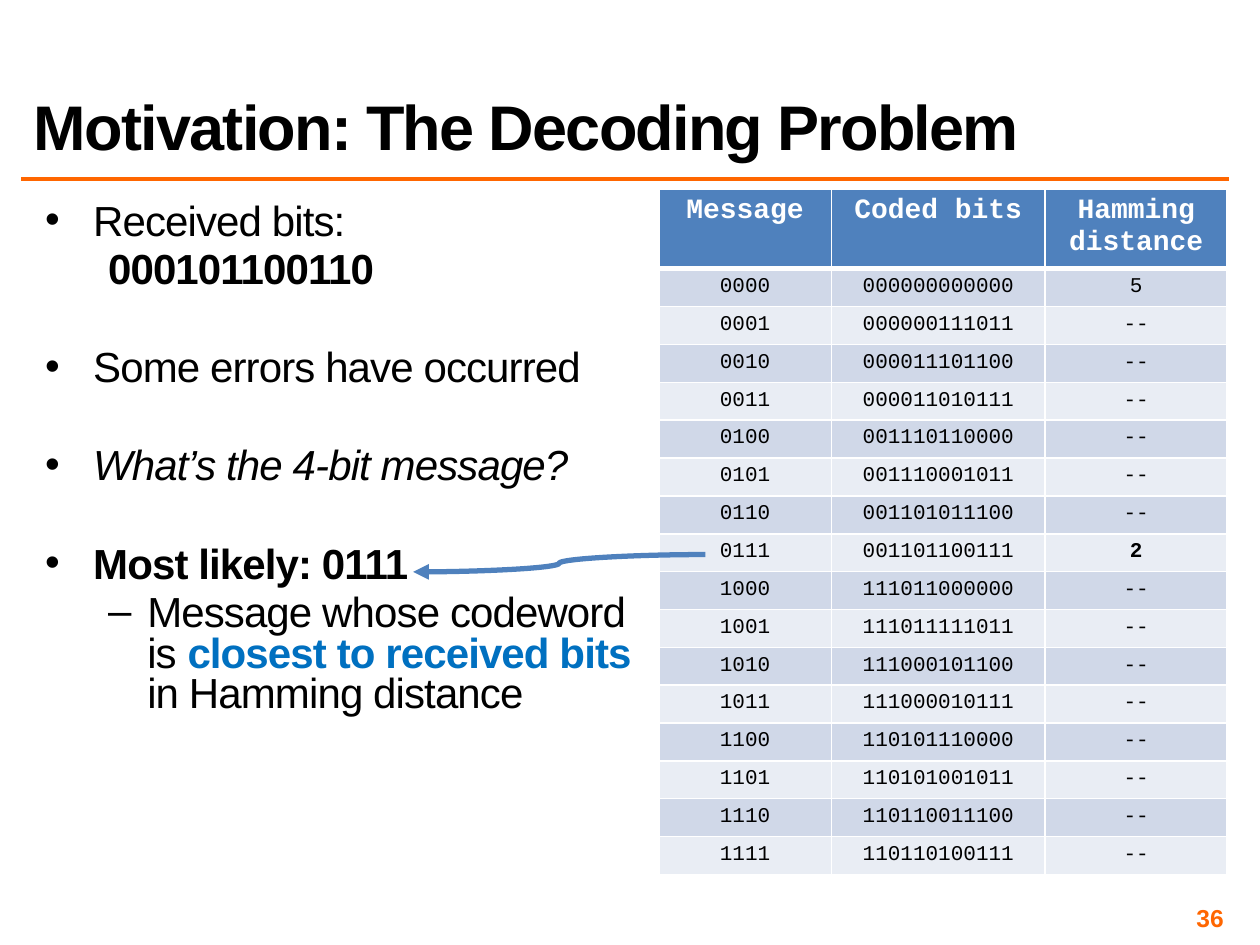
from lxml.etree import SubElement as Sub
from pptx import Presentation
from pptx.dml.color import RGBColor as Rgb
from pptx.enum.shapes import MSO_CONNECTOR as Link
from pptx.enum.text import MSO_ANCHOR as Anchor, PP_ALIGN as Align
from pptx.oxml.ns import qn
from pptx.util import Cm, Pt

# Content
TITLE = "Motivation: The Decoding Problem"
PAGE = "36"
HEAD = ["Message", "Coded bits", "Hamming distance"]
CODES = [
    "000000000000", "000000111011", "000011101100", "000011010111",
    "001110110000", "001110001011", "001101011100", "001101100111",
    "111011000000", "111011111011", "111000101100", "111000010111",
    "110101110000", "110101001011", "110110011100", "110110100111",
]
DIST = {0: "5", 7: "2"}
BEST = 7
# Each point: kind, space before in points, runs as (text, style)
POINTS = [
    ("dot", 4.8, [("Received bits:", "")]),
    ("bits", 4.8, [("000101100110", "b")]),
    ("dot", 33, [("Some errors have occurred", "")]),
    ("dot", 33, [("What’s the 4-bit message?", "i")]),
    ("dot", 33, [("Most likely: 0111", "b")]),
    ("dash", 4.8, [("Message whose codeword is ", ""),
                   ("closest to received bits ", "bh"),
                   ("in Hamming distance", "")]),
]
# Kind: left margin and first-line indent in cm, bullet
KINDS = {"dot": (0.97, -0.97, "•"), "bits": (1.27, 0, None),
         "dash": (2.06, -0.79, "–")}
COLORS = {"text": "000000", "accent": "FF6600", "high": "0070C0",
          "blue": "4F81BD", "white": "FFFFFF",
          "odd": "D0D8E8", "even": "E9EDF4"}
SANS, MONO = "Arial", "Courier New"


def color(name):
    return Rgb.from_string(COLORS[name])


def style(run, size, hue="text", face=SANS, bold=False, track=0):
    font = run.font
    font.size, font.name, font.bold = Pt(size), face, bold
    font.color.rgb = color(hue)
    if track:
        run._r.get_or_add_rPr().set("spc", str(int(track * 100)))


def box(left, top, width, height, pad=None, anchor=Anchor.TOP):
    frame = slide.shapes.add_textbox(
        Cm(left), Cm(top), Cm(width), Cm(height)).text_frame
    frame.word_wrap = True
    frame.vertical_anchor = anchor
    if pad is not None:
        frame.margin_left = frame.margin_right = Cm(pad)
        frame.margin_top = frame.margin_bottom = Cm(pad)
    return frame


def line(kind, start, end, hue, width):
    link = slide.shapes.add_connector(kind, *map(Cm, start + end))
    link.line.color.rgb = color(hue)
    link.line.width = Pt(width)
    Sub(link._element.spPr, qn("a:effectLst"))
    return link


def border(cell, bottom):
    props = cell._tc.get_or_add_tcPr()
    for side, width in (("L", 1), ("R", 1), ("T", 1), ("B", bottom)):
        edge = Sub(props, qn("a:ln" + side), w=str(Pt(width)))
        Sub(Sub(edge, qn("a:solidFill")), qn("a:srgbClr"),
            val=COLORS["white"])


deck = Presentation()
deck.slide_width, deck.slide_height = Cm(25.4), Cm(19.05)
slide = deck.slides.add_slide(deck.slide_layouts[6])

# Title, rule and page number
line(Link.STRAIGHT, (0.43, 3.61), (24.77, 3.61), "accent", 2)
para = box(0.43, 0.43, 24.33, 2.97, anchor=Anchor.BOTTOM).paragraphs[0]
para.text, para.line_spacing = TITLE, 0.8
style(para.runs[0], 36, bold=True, track=-1)
para = box(18.85, 18.21, 5.92, 0.58, 0.1, Anchor.MIDDLE).paragraphs[0]
para.text, para.alignment = PAGE, Align.RIGHT
style(para.runs[0], 14, "accent", bold=True)

# Code table
rows = [HEAD] + [[f"{n:04b}", code, DIST.get(n, "--")]
                 for n, code in enumerate(CODES)]
cols = [3.48, 4.31, 3.67]
high, low = 1.53, 0.76
grid = slide.shapes.add_table(
    len(rows), len(cols), Cm(13.28), Cm(3.81), Cm(sum(cols)),
    Cm(high + low * len(CODES))).table
for col, width in zip(grid.columns, cols):
    col.width = Cm(width)
for r, row in enumerate(rows):
    top = r == 0
    grid.rows[r].height = Cm(high if top else low)
    for c, word in enumerate(row):
        cell = grid.cell(r, c)
        border(cell, 3 if top else 1)
        cell.fill.solid()
        cell.fill.fore_color.rgb = color(
            "blue" if top else "odd" if r % 2 else "even")
        para = cell.text_frame.paragraphs[0]
        para.text, para.alignment = word, Align.CENTER
        style(para.runs[0], 16 if top else 12, "white" if top else "text",
              MONO, top or (r == BEST + 1 and c == 2))

# Bullet points
frame = box(0.81, 4.01, 12.19, 12.24, 0.1)
for n, (kind, gap, runs) in enumerate(POINTS):
    para = frame.add_paragraph() if n else frame.paragraphs[0]
    para.line_spacing, para.space_before = 0.8, Pt(gap)
    left, first, mark = KINDS[kind]
    para.level = int(kind == "dash")
    props = para._p.get_or_add_pPr()
    props.set("marL", str(Cm(left)))
    props.set("indent", str(Cm(first)))
    if mark:
        Sub(props, qn("a:buFont"), typeface=SANS)
        Sub(props, qn("a:buChar"), char=mark)
    for words, flags in runs:
        run = para.add_run()
        run.text = words
        style(run, 24, "high" if "h" in flags else "text",
              bold="b" in flags, track=-0.5)
        run.font.italic = "i" in flags

# Arrow from the table row to the answer
arrow = line(Link.CURVE, (14.22, 11.18), (8.33, 11.53), "blue", 3)
Sub(arrow.line._get_or_add_ln(), qn("a:tailEnd"), type="triangle")

deck.save("out.pptx")
